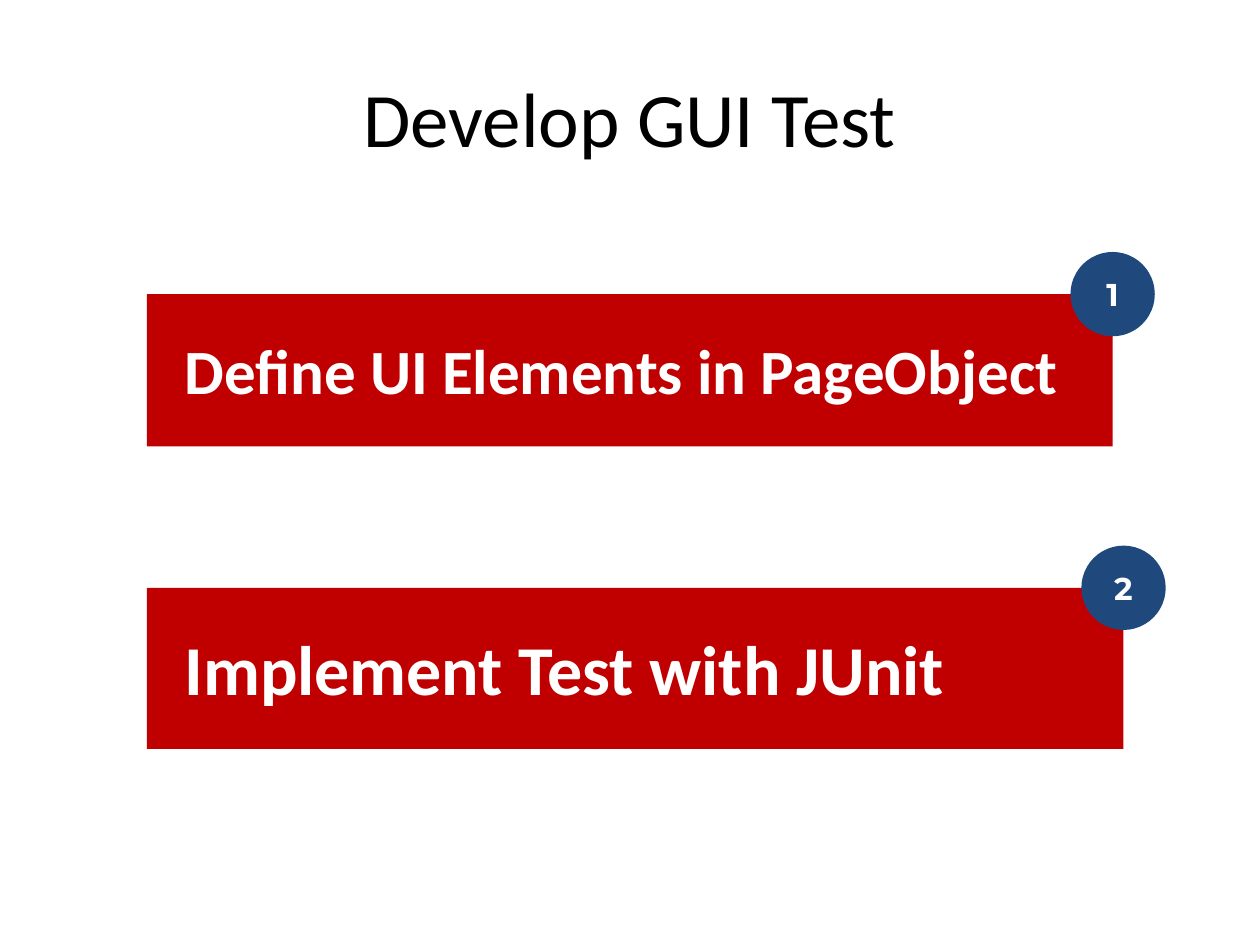
from pptx import Presentation
from pptx import util as u
from pptx.dml.color import RGBColor
from pptx.enum import shapes, text

RED, NAVY, WHITE, BLACK = "C00000", "1F497D", "FFFFFF", "000000"
BADGE_SIZE = 1.7
BAR_INSET = 0.76


def colour(hex_code):
    return RGBColor.from_string(hex_code)


def write(shape, words, size, font, hex_code, bold, align, anchor):
    frame = shape.text_frame
    frame.word_wrap = True
    frame.vertical_anchor = anchor
    paragraph = frame.paragraphs[0]
    paragraph.alignment = align
    run = paragraph.add_run()
    run.text = words
    run.font.size = u.Pt(size)
    run.font.name = font
    run.font.bold = bold
    run.font.color.rgb = colour(hex_code)


def add_filled(slide, preset, left, top, width, height, fill):
    shape = slide.shapes.add_shape(
        preset, u.Cm(left), u.Cm(top), u.Cm(width), u.Cm(height))
    shape.shadow.inherit = False
    shape.fill.solid()
    shape.fill.fore_color.rgb = colour(fill)
    shape.line.fill.background()
    return shape


def add_title(slide, left, top, width, height, words):
    title = slide.shapes.add_textbox(
        u.Cm(left), u.Cm(top), u.Cm(width), u.Cm(height))
    write(title, words, 44, "Calibri", BLACK, False,
          text.PP_ALIGN.CENTER, text.MSO_ANCHOR.MIDDLE)


def add_bar(slide, left, top, width, height, words, size):
    bar = add_filled(slide, shapes.MSO_SHAPE.RECTANGLE,
                     left, top, width, height, RED)
    frame = bar.text_frame
    frame.margin_left = frame.margin_right = u.Cm(BAR_INSET)
    frame.margin_top = frame.margin_bottom = u.Cm(BAR_INSET)
    frame.auto_size = text.MSO_AUTO_SIZE.SHAPE_TO_FIT_TEXT
    write(bar, words, size, "Calibri", WHITE, True,
          text.PP_ALIGN.LEFT, text.MSO_ANCHOR.TOP)


def add_badge(slide, centre_x, centre_y, number):
    badge = add_filled(slide, shapes.MSO_SHAPE.OVAL,
                       centre_x - BADGE_SIZE / 2, centre_y - BADGE_SIZE / 2,
                       BADGE_SIZE, BADGE_SIZE, NAVY)
    frame = badge.text_frame
    frame.margin_left = frame.margin_right = 0
    frame.margin_top = frame.margin_bottom = 0
    write(badge, str(number), 18, "Montserrat", WHITE, True,
          text.PP_ALIGN.CENTER, text.MSO_ANCHOR.MIDDLE)


def add_step(slide, left, top, width, height, number, words, size):
    """Place a bar with its number badge centred on the top right corner."""
    add_bar(slide, left, top, width, height, words, size)
    add_badge(slide, left + width, top, number)


def main():
    presentation = Presentation()
    presentation.slide_width = u.Cm(25.4)
    presentation.slide_height = u.Cm(19.05)
    slide = presentation.slides.add_slide(presentation.slide_layouts[6])

    add_title(slide, 1.27, 0.76, 22.86, 3.18, "Develop GUI Test")
    steps = [
        (5.93, 19.47, 3.07, "Define UI Elements in PageObject", 36),
        (11.85, 19.69, 3.25, "Implement Test with JUnit", 40),
    ]
    for number, (top, width, height, words, size) in enumerate(steps, 1):
        add_step(slide, 2.96, top, width, height, number, words, size)

    presentation.save("out.pptx")


if __name__ == "__main__":
    main()
